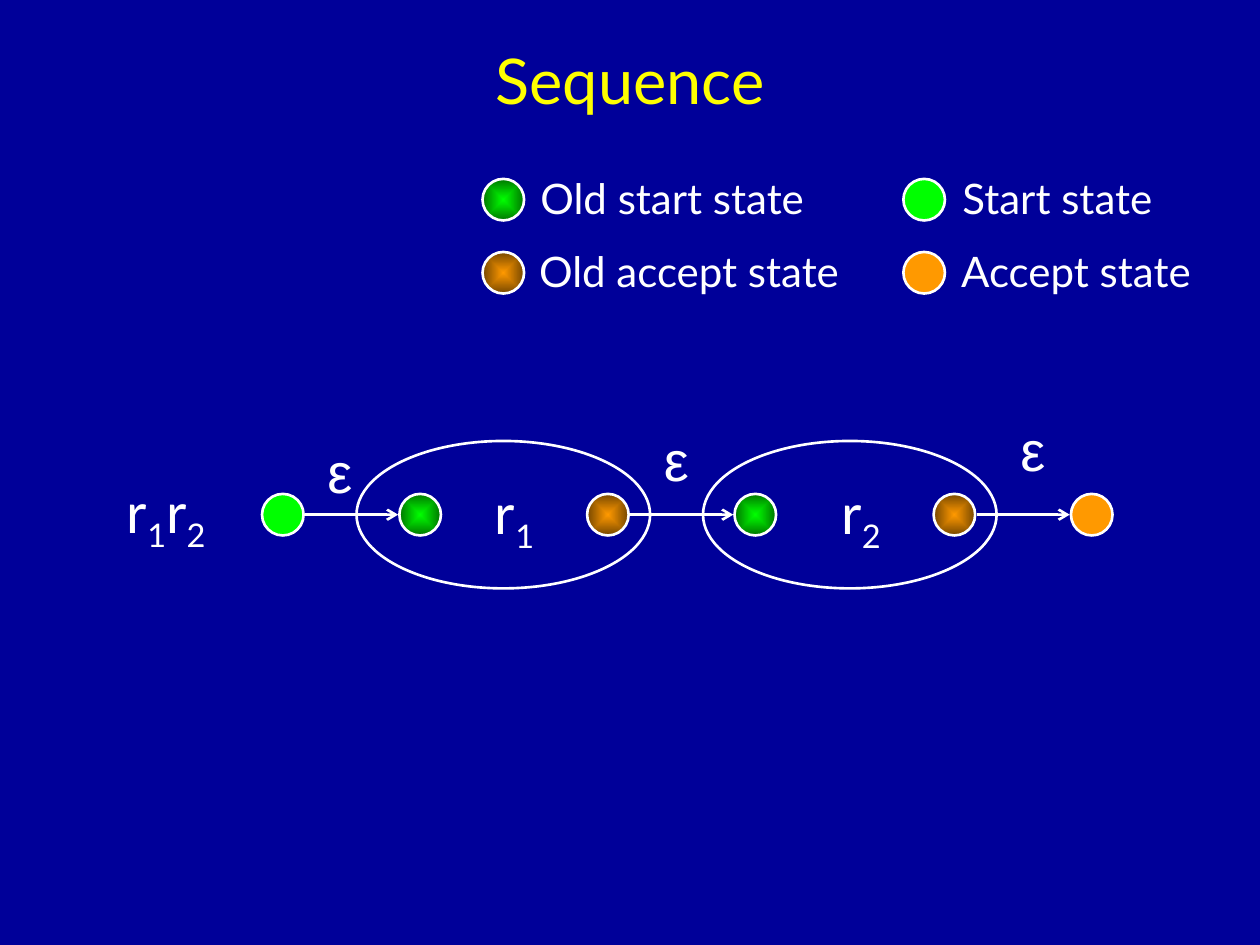
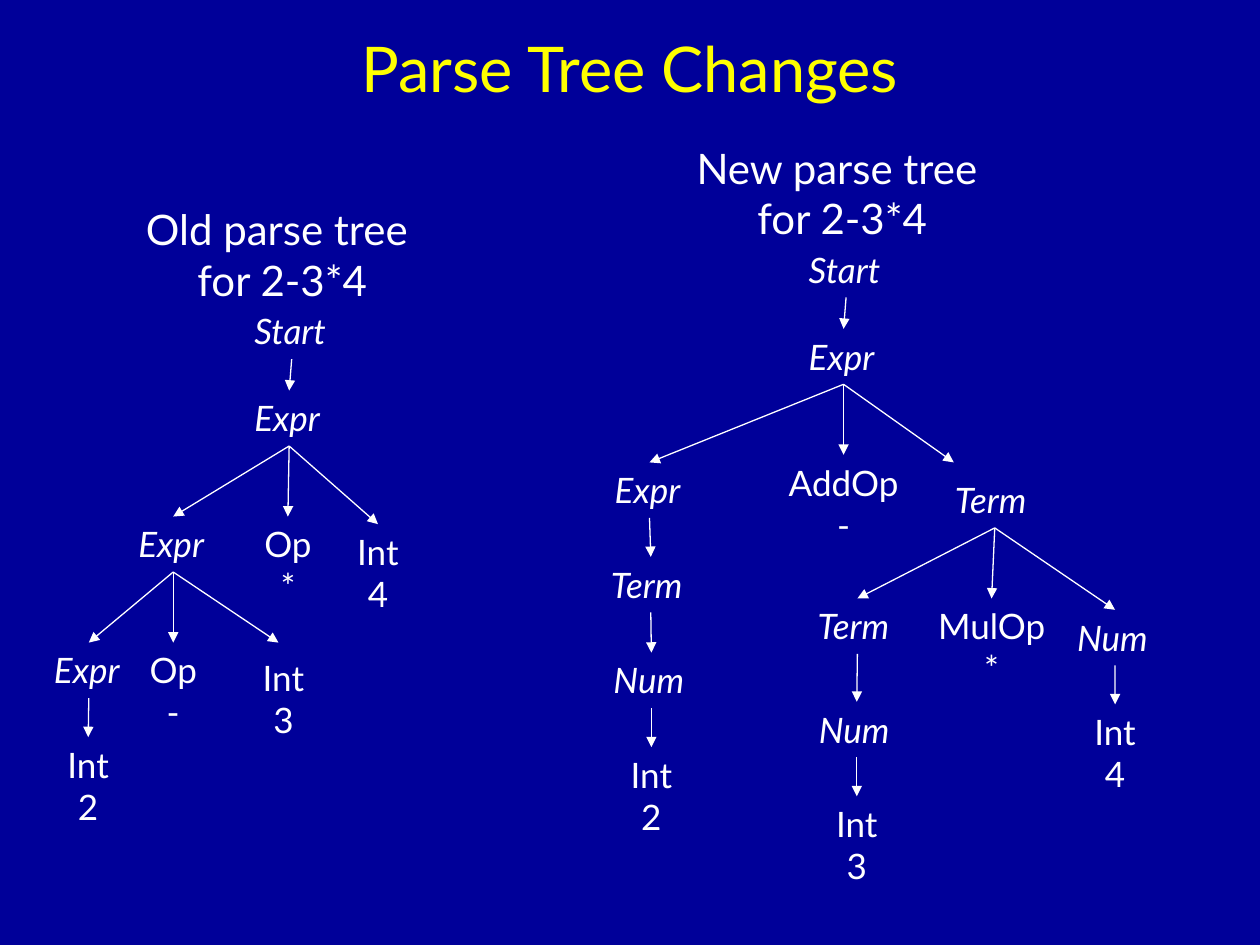
"""Builds two slides: the sequence automaton and the parse tree changes."""
import lxml.etree
import pptx
import pptx.dml.color
import pptx.enum.shapes
import pptx.enum.text
import pptx.oxml.ns
import pptx.util

Inches = pptx.util.Inches
qn = pptx.oxml.ns.qn

COLORS = {
    "background": "000099", "title": "FFFF00", "text": "FFFFFF",
    "start": "00FF00", "start_edge": "007600",
    "accept": "FF9900", "accept_edge": "764700",
}
STATE_FILLS = {
    "start": ("start",), "old start": ("start", "start_edge"),
    "accept": ("accept",), "old accept": ("accept", "accept_edge"),
}
FONT = "Lato"
STATE_SIZE = 0.33

LEGEND = [
    ("old start", "Old start state", 3.83, 1.42, 4.19, 2.42),
    ("start", "Start state", 7.17, 1.42, 7.54, 1.81),
    ("old accept", "Old accept state", 3.83, 2, 4.18, 2.72),
    ("accept", "Accept state", 7.17, 2, 7.53, 2.11),
]
STATE_TOP = 3.92
STATE_PAIRS = [
    (("start", 2.08), ("old start", 3.17)),
    (("old accept", 4.66), ("old start", 5.83)),
    (("old accept", 7.41), ("accept", 8.5)),
]
EPSILONS = [(2.5, 3.42), (5.17, 3.33), (8, 3.25)]
MACHINES = [2.83, 5.58]
EXPRESSIONS = [("r1r2", 0.91, 3.74, 0.86), ("r1", 3.83, 3.75, 0.53), ("r2", 6.58, 3.75, 0.53)]

NODE_WIDTHS = {
    "Start": 0.79, "Expr": 0.75, "Term": 0.83, "Num": 0.8,
    "Int": 0.56, "Op": 0.59, "AddOp": 1.11, "MulOp": 1.08,
}
TREE_HEADINGS = [
    ("Old parse tree \nfor 2-3*4", 0.98, 1.57, 2.52),
    ("New parse tree \nfor 2-3*4", 5.35, 1.08, 2.67),
]
OLD_TREE = ("Start", 1.92, 2.41, [
    ("Expr", 1.92, 3.1, [
        ("Expr", 1, 4.1, [
            ("Expr", 0.33, 5.1, [("Int\n2", 0.42, 5.85, [])]),
            ("Op\n-", 1.08, 5.1, []),
            ("Int\n3", 1.97, 5.16, []),
        ]),
        ("Op\n*", 1.99, 4.1, []),
        ("Int\n4", 2.72, 4.16, []),
    ]),
])
NEW_TREE = ("Start", 6.32, 1.92, [
    ("Expr", 6.32, 2.61, [
        ("Expr", 4.78, 3.67, [
            ("Term", 4.75, 4.42, [
                ("Num", 4.77, 5.18, [("Int\n2", 4.89, 5.93, [])]),
            ]),
        ]),
        ("AddOp\n-", 6.14, 3.61, []),
        ("Term", 7.48, 3.75, [
            ("Term", 6.39, 4.75, [
                ("Num", 6.4, 5.57, [("Int\n3", 6.52, 6.32, [])]),
            ]),
            ("MulOp\n*", 7.33, 4.75, []),
            ("Num", 8.45, 4.84, [("Int\n4", 8.57, 5.59, [])]),
        ]),
    ]),
])
LOOSE_TIPS = {("Int\n3", 1.97): (2.21, 5.1), ("Term", 7.48): (7.57, 3.67)}


def rgb(name):
    return pptx.dml.color.RGBColor.from_string(COLORS[name])


def style_font(font, size, color="text", name=FONT, italic=None):
    font.size = pptx.util.Pt(size)
    font.name = name
    font.italic = italic
    font.color.rgb = rgb(color)


def add_text(page, text, left, top, width, height, size, centered=False, **style):
    box = page.shapes.add_textbox(*map(Inches, (left, top, width, height)))
    frame = box.text_frame
    frame.text = text
    frame.word_wrap = False
    frame.auto_size = pptx.enum.text.MSO_AUTO_SIZE.SHAPE_TO_FIT_TEXT
    for para in frame.paragraphs:
        if centered:
            para.alignment = pptx.enum.text.PP_ALIGN.CENTER
        for span in para.runs:
            style_font(span.font, size, **style)
    return box


def add_expression(page, text, left, top, width):
    box = add_text(page, "", left, top, width, 0.71, 32)
    for letter in text:
        span = box.text_frame.paragraphs[0].add_run()
        span.text = letter
        style_font(span.font, 32)
        if letter.isdigit():
            span._r.get_or_add_rPr().set("baseline", "-25000")


def add_page(deck, title, title_height):
    page = deck.slides.add_slide(deck.slide_layouts[6])
    page.background.fill.solid()
    page.background.fill.fore_color.rgb = rgb("background")
    box = add_text(page, title, 0.75, 0.17, 8.5, title_height, 36, centered=True, color="title")
    box.text_frame.word_wrap = True
    box.text_frame.auto_size = pptx.enum.text.MSO_AUTO_SIZE.NONE
    box.text_frame.vertical_anchor = pptx.enum.text.MSO_ANCHOR.MIDDLE
    return page


def add_oval(page, left, top, width, height, fill_names=()):
    oval = page.shapes.add_shape(
        pptx.enum.shapes.MSO_SHAPE.OVAL, *map(Inches, (left, top, width, height)))
    oval.shadow.inherit = False
    oval.line.color.rgb = rgb("text")
    oval.line.width = pptx.util.Pt(1.5)
    if not fill_names:
        oval.fill.background()
    elif len(fill_names) == 1:
        oval.fill.solid()
        oval.fill.fore_color.rgb = rgb(fill_names[0])
    else:
        oval.fill.gradient()
        for stop, name in zip(oval.fill.gradient_stops, fill_names):
            stop.color.rgb = rgb(name)
        gradient = oval._element.spPr.find(qn("a:gradFill"))
        gradient.remove(gradient.find(qn("a:lin")))
        shade = lxml.etree.SubElement(gradient, qn("a:path"), path="rect")
        lxml.etree.SubElement(
            shade, qn("a:fillToRect"), dict.fromkeys("ltrb", "50000"))


def add_state(page, kind, left, top):
    add_oval(page, left, top, STATE_SIZE, STATE_SIZE, STATE_FILLS[kind])


def add_arrow(page, start, end, width, head):
    arrow = page.shapes.add_connector(
        pptx.enum.shapes.MSO_CONNECTOR.STRAIGHT, *map(Inches, (*start, *end)))
    arrow.line.color.rgb = rgb("text")
    arrow.line.width = pptx.util.Pt(width)
    lxml.etree.SubElement(arrow.get_or_add_ln(), qn("a:tailEnd"), type=head)
    lxml.etree.SubElement(arrow._element.spPr, qn("a:effectLst"))
    return arrow


def add_tree(page, node, parent=None):
    label, left, top, children = node
    name, *token = label.split("\n")
    box = add_text(page, label, left, top, NODE_WIDTHS[name], 0.77 if token else 0.44, 20,
                   centered=bool(token), italic=not token)
    if parent is not None:
        tip = LOOSE_TIPS.get((label, left))
        arrow = add_arrow(page, (0, 0), tip or (0, 0), 0.75, "triangle")
        arrow.begin_connect(parent, 2)
        if tip is None:
            arrow.end_connect(box, 0)
    for child in children:
        add_tree(page, child, box)


def build_sequence(deck):
    page = add_page(deck, "Sequence", 0.92)
    for kind, label, left, top, label_left, label_width in LEGEND:
        add_state(page, kind, left, top)
        add_text(page, label, label_left, top - 0.1, label_width, 0.5, 24)
    for left in MACHINES:
        add_oval(page, left, 3.5, 2.33, 1.17)
    for expression in EXPRESSIONS:
        add_expression(page, *expression)
    middle = STATE_TOP + STATE_SIZE / 2
    for (source, source_left), (target, target_left) in STATE_PAIRS:
        add_state(page, source, source_left, STATE_TOP)
        add_state(page, target, target_left, STATE_TOP)
        add_arrow(page, (source_left + STATE_SIZE + 0.01, middle),
                  (target_left - 0.01, middle), 1.5, "arrow")
    for left, top in EPSILONS:
        add_text(page, "ε", left, top, 0.39, 0.64, 32, name="Arial")


def build_parse_trees(deck):
    page = add_page(deck, "Parse Tree Changes", 0.73)
    for text, left, top, width in TREE_HEADINGS:
        add_text(page, text, left, top, width, 0.9, 24, centered=True)
    for tree in (OLD_TREE, NEW_TREE):
        add_tree(page, tree)


def main():
    deck = pptx.Presentation()
    deck.slide_width, deck.slide_height = Inches(10), Inches(7.5)
    build_sequence(deck)
    build_parse_trees(deck)
    deck.save("out.pptx")


if __name__ == "__main__":
    main()
